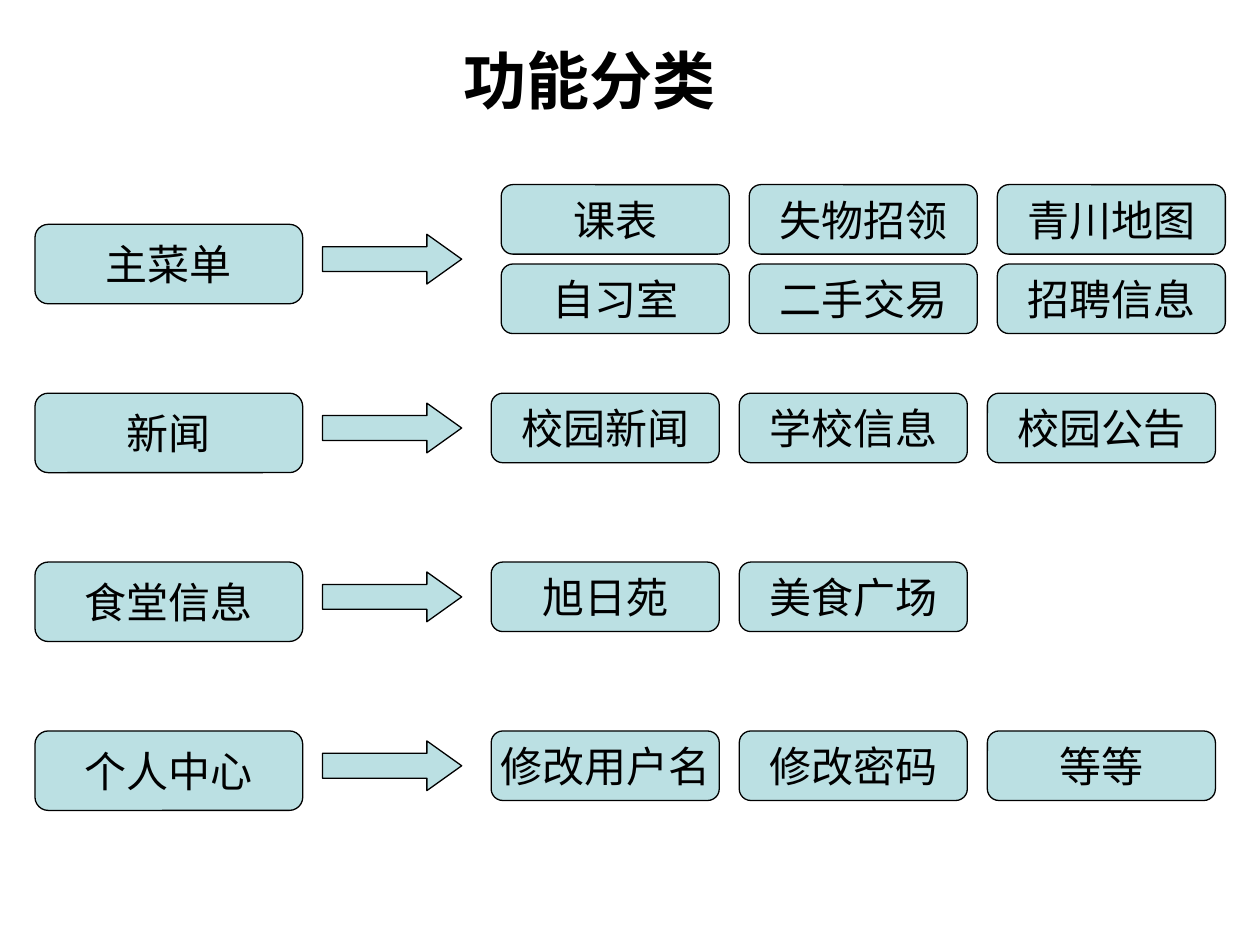
from dataclasses import dataclass

from pptx import Presentation
from pptx import util as u
from pptx.dml.color import RGBColor
from pptx.enum import shapes, text

FONT = "Arial"
BLACK = "000000"
TEAL = "BBE0E3"

# Row grid, in points
ROW_TOP, ROW_STEP = 128.2, 96.5
MENU_X, MENU_W, MENU_H = 20, 153, 45.4
ARROW_X, ARROW_DY, ARROW_W, ARROW_H = 184.3, 5.7, 79.5, 28.4
ITEM_W, ITEM_H = 130.3, 39.7
ITEM_STEP_X, ITEM_STEP_Y = 141.75, 45.4


@dataclass
class Category:
    name: str
    items: list[list[str]]  # lines of items, each read left to right
    item_x: float = 280.7
    item_dy: float = 0  # offset of the first line from the row top


CATEGORIES = [
    Category("主菜单", [["课表", "失物招领", "青川地图"],
                     ["自习室", "二手交易", "招聘信息"]], 286.4, -22.7),
    Category("新闻", [["校园新闻", "学校信息", "校园公告"]]),
    Category("食堂信息", [["旭日苑", "美食广场"]]),
    Category("个人中心", [["修改用户名", "修改密码", "等等"]]),
]


def rgb(color: str) -> RGBColor:
    return RGBColor.from_string(color)


def set_font(p, size: float, bold: bool = False) -> None:
    p.font.name = FONT
    p.font.size = u.Pt(size)
    p.font.bold = bold
    p.font.color.rgb = rgb(BLACK)


def add_block(s, kind, x: float, y: float, w: float, h: float):
    sp = s.shapes.add_shape(kind, u.Pt(x), u.Pt(y), u.Pt(w), u.Pt(h))
    sp.shadow.inherit = False
    sp.fill.solid()
    sp.fill.fore_color.rgb = rgb(TEAL)
    sp.line.color.rgb = rgb(BLACK)
    sp.line.width = u.Pt(0.75)
    return sp


def add_box(s, label: str, x: float, y: float, w: float, h: float) -> None:
    sp = add_block(s, shapes.MSO_SHAPE.ROUNDED_RECTANGLE, x, y, w, h)
    tf = sp.text_frame
    tf.word_wrap = False
    tf.vertical_anchor = text.MSO_ANCHOR.MIDDLE
    p = tf.paragraphs[0]
    p.text = label
    p.alignment = text.PP_ALIGN.CENTER
    set_font(p, 24)


def add_arrow(s, y: float) -> None:
    sp = add_block(s, shapes.MSO_SHAPE.RIGHT_ARROW,
                   ARROW_X, y, ARROW_W, ARROW_H)
    sp.adjustments[1] = 0.7


def add_category(s, category: Category, y: float) -> None:
    add_box(s, category.name, MENU_X, y, MENU_W, MENU_H)
    add_arrow(s, y + ARROW_DY)
    for line, labels in enumerate(category.items):
        for col, label in enumerate(labels):
            add_box(s, label, category.item_x + col * ITEM_STEP_X,
                    y + category.item_dy + line * ITEM_STEP_Y,
                    ITEM_W, ITEM_H)


def add_title(s, label: str) -> None:
    sp = s.shapes.title
    sp.left, sp.top = u.Pt(257.8), u.Pt(20.2)
    sp.width, sp.height = u.Pt(164.2), u.Pt(50.4)
    tf = sp.text_frame
    tf.word_wrap = True
    tf.auto_size = text.MSO_AUTO_SIZE.NONE
    tf.vertical_anchor = text.MSO_ANCHOR.TOP
    p = tf.paragraphs[0]
    p.text = label
    p.alignment = text.PP_ALIGN.LEFT
    set_font(p, 36, bold=True)


def main() -> None:
    prs = Presentation()
    prs.slide_width, prs.slide_height = u.Pt(720), u.Pt(540)
    s = prs.slides.add_slide(prs.slide_layouts[5])  # title only

    # Title
    add_title(s, "功能分类")

    # One row per category: menu box, arrow, items
    for row, category in enumerate(CATEGORIES):
        add_category(s, category, ROW_TOP + row * ROW_STEP)

    prs.save("out.pptx")


if __name__ == "__main__":
    main()
